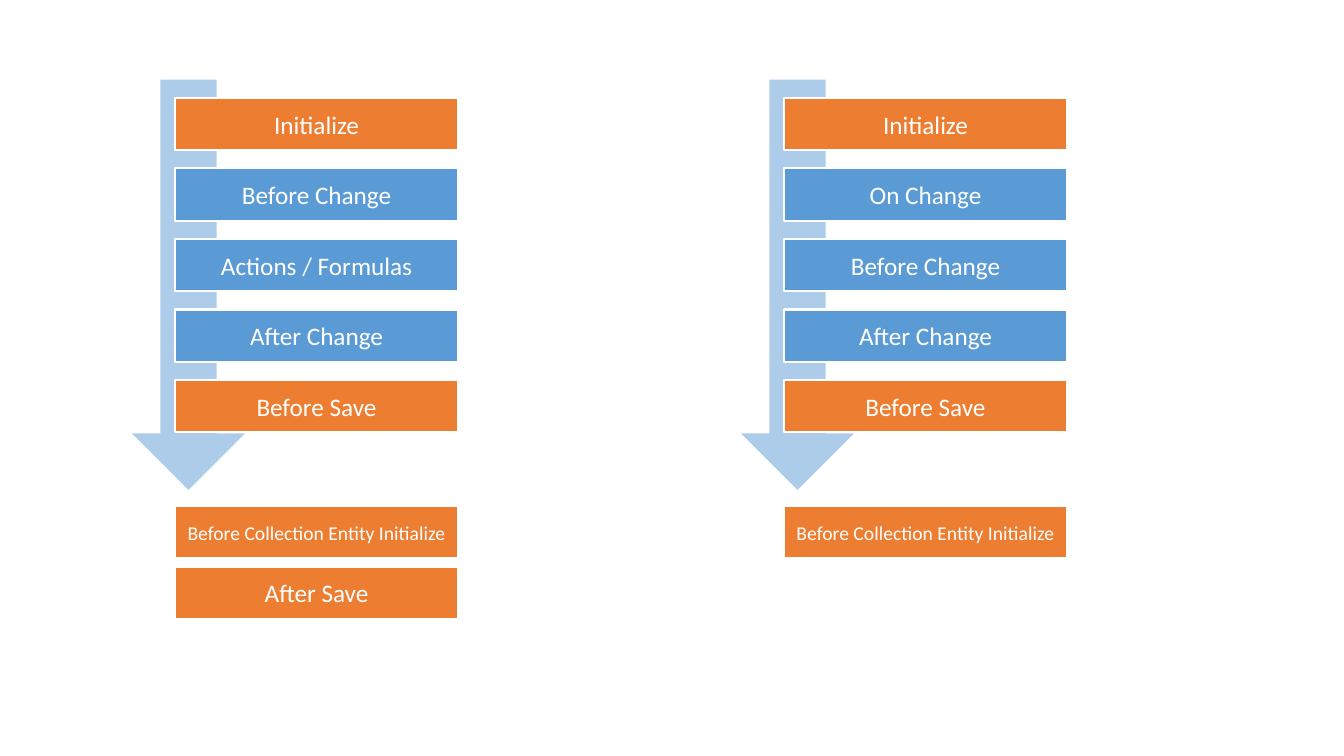
from dataclasses import dataclass

from lxml import etree
from pptx import Presentation
from pptx.dml.color import RGBColor
from pptx.enum.shapes import MSO_SHAPE
from pptx.enum.text import MSO_ANCHOR, PP_ALIGN
from pptx.oxml.ns import qn
from pptx.shapes.autoshape import Shape
from pptx.slide import Slide
from pptx.util import Inches, Pt

RECTANGLE = MSO_SHAPE.RECTANGLE
DOWN_ARROW = MSO_SHAPE.DOWN_ARROW
MIDDLE = MSO_ANCHOR.MIDDLE
CENTER = PP_ALIGN.CENTER

BLUE = RGBColor(0x5B, 0x9B, 0xD5)
ORANGE = RGBColor(0xED, 0x7D, 0x31)
WHITE = RGBColor(0xFF, 0xFF, 0xFF)

FONT = "Calibri"
SLIDE_WIDTH, SLIDE_HEIGHT = 13.33, 7.5

# Grid, in inches: two flow columns, each with evenly spaced event rows
FLOW_LEFT, FLOW_PITCH = 1.31, 6.04
ARROW_TOP, ARROW_WIDTH, ARROW_HEIGHT = 0.79, 1.12, 4.07
EVENT_INDENT, EVENT_WIDTH, EVENT_HEIGHT = 0.43, 2.8, 0.52
SEQUENCE_TOP, SEQUENCE_PITCH = 0.97, 0.7
FOLLOW_UP_TOP, FOLLOW_UP_PITCH = 5.02, 0.6
TEXT_INSET = 0.05


@dataclass(frozen=True)
class Event:
    """One named event of a flow."""

    name: str
    color: RGBColor = BLUE
    size: int = 18


@dataclass(frozen=True)
class Flow:
    """Events along the arrow, and those that follow below it."""

    sequence: tuple[Event, ...]
    follow_ups: tuple[Event, ...]


INITIALIZE = Event("Initialize", ORANGE)
BEFORE_CHANGE = Event("Before Change")
AFTER_CHANGE = Event("After Change")
BEFORE_SAVE = Event("Before Save", ORANGE)
BEFORE_COLLECTION = Event("Before Collection Entity Initialize", ORANGE, 14)

FLOWS = (
    Flow(
        (INITIALIZE, BEFORE_CHANGE, Event("Actions / Formulas"), AFTER_CHANGE, BEFORE_SAVE),
        (BEFORE_COLLECTION, Event("After Save", ORANGE)),
    ),
    Flow(
        (INITIALIZE, Event("On Change"), BEFORE_CHANGE, AFTER_CHANGE, BEFORE_SAVE),
        (BEFORE_COLLECTION,),
    ),
)


def add_block(slide: Slide, kind: MSO_SHAPE, left: float, top: float,
              width: float, height: float, color: RGBColor) -> Shape:
    """Add a flat filled shape, measured in inches."""
    block = slide.shapes.add_shape(
        kind, Inches(left), Inches(top), Inches(width), Inches(height))
    block.shadow.inherit = False
    block.fill.solid()
    block.fill.fore_color.rgb = color
    return block


def write_text(block: Shape, text: str, *, size: int,
               color: RGBColor = WHITE, font: str = FONT) -> None:
    """Write one centred line of text into a shape."""
    frame = block.text_frame
    frame.word_wrap = True
    frame.vertical_anchor = MIDDLE
    frame.margin_left = frame.margin_right = Inches(TEXT_INSET)
    paragraph = frame.paragraphs[0]
    paragraph.alignment = CENTER
    run = paragraph.add_run()
    run.text = text
    run.font.name = font
    run.font.size = Pt(size)
    run.font.color.rgb = color


def draw_arrow(slide: Slide, left: float) -> None:
    """Draw the half-transparent arrow behind a flow."""
    arrow = add_block(slide, DOWN_ARROW, left, ARROW_TOP, ARROW_WIDTH, ARROW_HEIGHT, BLUE)
    arrow.line.fill.background()
    fill_color = arrow._element.spPr.find(qn("a:solidFill"))[0]
    etree.SubElement(fill_color, qn("a:alpha"), val="50000")


def draw_events(slide: Slide, events: tuple[Event, ...], left: float,
                top: float, pitch: float) -> None:
    """Draw events as evenly spaced boxes, from the top down."""
    for row, event in enumerate(events):
        box = add_block(slide, RECTANGLE, left, top + row * pitch,
                        EVENT_WIDTH, EVENT_HEIGHT, event.color)
        box.line.color.rgb = WHITE
        box.line.width = Pt(1.5)
        write_text(box, event.name, size=event.size)


def draw_flow(slide: Slide, flow: Flow, left: float) -> None:
    """Draw one flow: its arrow, sequence and follow-up events."""
    draw_arrow(slide, left)
    event_left = left + EVENT_INDENT
    draw_events(slide, flow.sequence, event_left, SEQUENCE_TOP, SEQUENCE_PITCH)
    draw_events(slide, flow.follow_ups, event_left, FOLLOW_UP_TOP, FOLLOW_UP_PITCH)


def main() -> None:
    """Build and save the slide with both event flows."""
    presentation = Presentation()
    presentation.slide_width = Inches(SLIDE_WIDTH)
    presentation.slide_height = Inches(SLIDE_HEIGHT)
    slide = presentation.slides.add_slide(presentation.slide_layouts[6])
    for column, flow in enumerate(FLOWS):
        draw_flow(slide, flow, FLOW_LEFT + column * FLOW_PITCH)
    presentation.save("out.pptx")


main()
